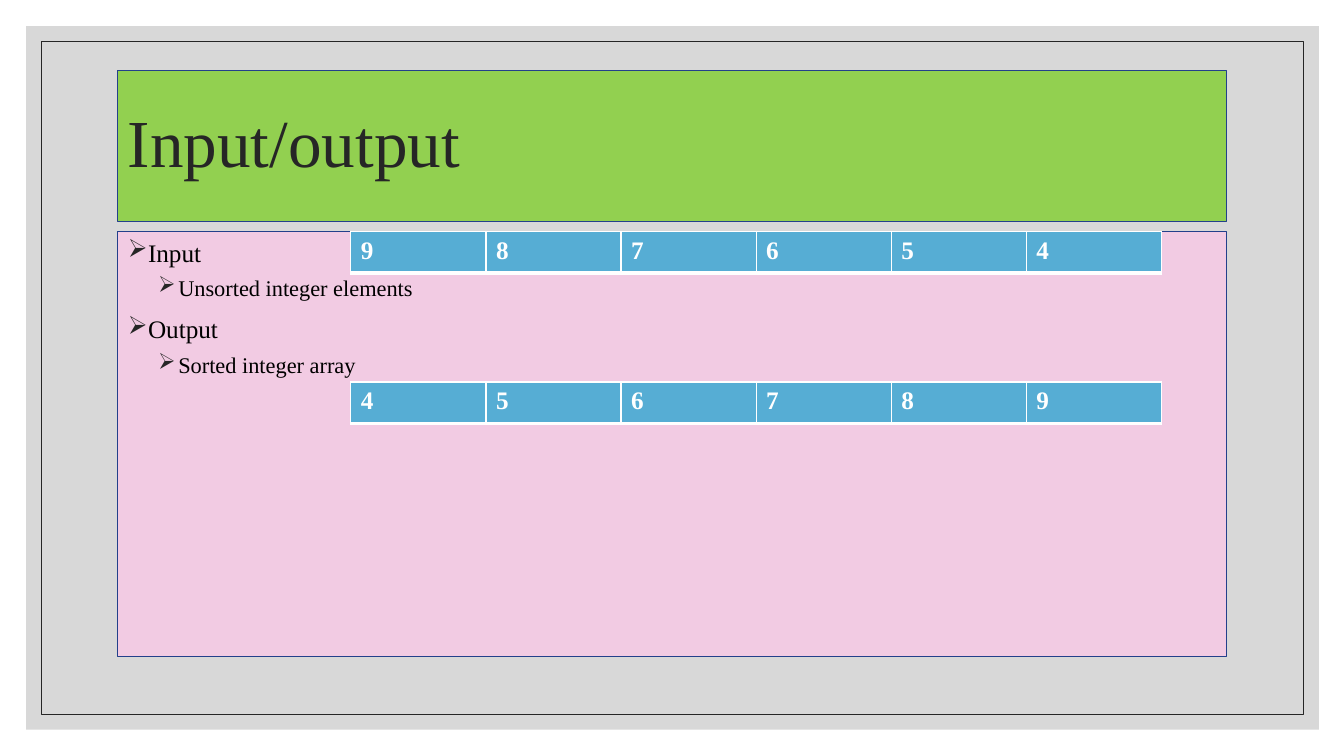
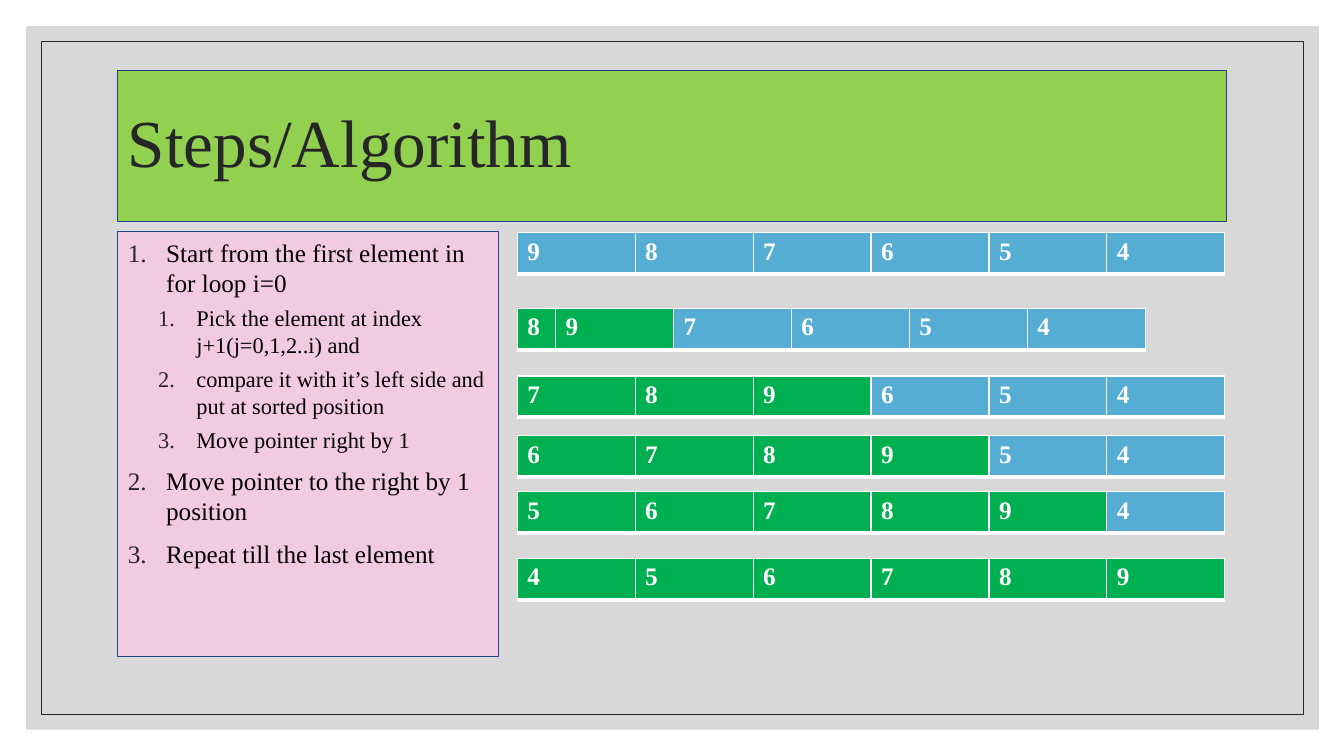
from dataclasses import dataclass
from lxml.etree import SubElement
from pptx import Presentation
from pptx.dml.color import RGBColor
from pptx.enum.shapes import MSO_SHAPE
from pptx.enum.text import MSO_ANCHOR, PP_ALIGN
from pptx.oxml.ns import qn
from pptx.util import Inches, Pt


@dataclass(frozen=True)
class Theme:
    font: str = "Times New Roman"
    backdrop: str = "BFBFBF"
    ink: str = "262626"
    title_fill: str = "92D050"
    body_fill: str = "F2CBE3"
    outline: str = "23408B"
    body_text: str = "000000"
    unsorted: str = "56ADD4"
    sorted: str = "00B050"
    white: str = "FFFFFF"
    title_size: int = 48
    body_sizes: tuple = (18, 16)
    space_before: tuple = (9, 5)
    cell_size: int = 18


theme = Theme()


def add_panel(slide, box, fill=None, line=None, width=0.75):
    shape = slide.shapes.add_shape(MSO_SHAPE.RECTANGLE, *map(Inches, box))
    shape.shadow.inherit = False
    if fill:
        shape.fill.solid()
        shape.fill.fore_color.rgb = RGBColor.from_string(fill)
    else:
        shape.fill.background()
    if line:
        shape.line.color.rgb = RGBColor.from_string(line)
        shape.line.width = Pt(width)
    else:
        shape.line.fill.background()
    return shape


def add_run(paragraph, text, size, color, bold=False):
    run = paragraph.add_run()
    run.text = text
    run.font.name = theme.font
    run.font.size = Pt(size)
    run.font.bold = bold
    run.font.color.rgb = RGBColor.from_string(color)


pages = [
    {
        "title": "Input/output",
        "body_width": 11,
        "bullet": ("buChar", {"char": "➢"}),
        "hanging": 0.2,
        "indents": (0.2, 0.5),
        "items": [
            (0, "Input"),
            (1, "Unsorted integer elements"),
            (0, "Output"),
            (1, "Sorted integer array"),
        ],
        "array_left": 3.48,
        "cell_width": 1.34,
        "arrays": [(2.3, "987654", 0, 1.34), (3.79, "456789", 0, 1.34)],
    },
    {
        "title": "Steps/Algorithm",
        "body_width": 3.77,
        "bullet": ("buAutoNum", {"type": "arabicPeriod"}),
        "hanging": 0.38,
        "indents": (0.38, 0.68),
        "items": [
            (0, "Start from the first element in for loop i=0"),
            (1, "Pick the element at index j+1(j=0,1,2..i) and"),
            (1, "compare it with it’s left side and put at sorted position"),
            (1, "Move pointer right by 1"),
            (0, "Move pointer to the right by 1 position"),
            (0, "Repeat till the last element"),
        ],
        "array_left": 5.13,
        "cell_width": 1.17,
        "arrays": [
            (2.31, "987654", 0, 1.17),
            (3.06, "897654", 2, 0.38),
            (3.73, "789654", 3, 1.17),
            (4.32, "678954", 4, 1.17),
            (4.88, "567894", 5, 1.17),
            (5.54, "456789", 6, 1.17),
        ],
    },
]

presentation = Presentation()
presentation.slide_width = Inches(13.33)
presentation.slide_height = Inches(7.5)

for page in pages:
    slide = presentation.slides.add_slide(presentation.slide_layouts[6])

    backdrop = add_panel(slide, (0.26, 0.26, 12.82, 6.98), fill=theme.backdrop)
    backdrop_color = backdrop._element.spPr.find(qn("a:solidFill"))[0]
    SubElement(backdrop_color, qn("a:alpha"), val="60000")
    add_panel(slide, (0.41, 0.41, 12.52, 6.68), line=theme.ink, width=0.5)

    title = add_panel(slide, (1.17, 0.7, 11, 1.5), theme.title_fill, theme.outline)
    title.text_frame.word_wrap = True
    title.text_frame.vertical_anchor = MSO_ANCHOR.MIDDLE
    paragraph = title.text_frame.paragraphs[0]
    paragraph.alignment = PP_ALIGN.LEFT
    paragraph.line_spacing = 0.9
    add_run(paragraph, page["title"], theme.title_size, theme.ink)

    body = add_panel(slide, (1.17, 2.3, page["body_width"], 4.21), theme.body_fill, theme.outline)
    frame = body.text_frame
    frame.word_wrap = True
    frame.vertical_anchor = MSO_ANCHOR.TOP
    for index, (level, text) in enumerate(page["items"]):
        paragraph = frame.add_paragraph() if index else frame.paragraphs[0]
        paragraph.level = level
        paragraph.alignment = PP_ALIGN.LEFT
        paragraph.space_before = Pt(theme.space_before[level])
        properties = paragraph._p.get_or_add_pPr()
        properties.set("marL", str(Inches(page["indents"][level])))
        properties.set("indent", str(-Inches(page["hanging"])))
        bullet_color = SubElement(properties, qn("a:buClr"))
        SubElement(bullet_color, qn("a:srgbClr"), val=theme.ink)
        bullet_tag, bullet_attributes = page["bullet"]
        SubElement(properties, qn(f"a:{bullet_tag}"), bullet_attributes)
        add_run(paragraph, text, theme.body_sizes[level], theme.body_text)

    for top, digits, sorted_count, first_width in page["arrays"]:
        widths = [first_width] + [page["cell_width"]] * (len(digits) - 1)
        table = slide.shapes.add_table(
            1, len(digits), Inches(page["array_left"]), Inches(top), Inches(sum(widths)), Inches(0.41)
        ).table
        table.first_row = False
        table.horz_banding = False
        for column, (digit, width) in enumerate(zip(digits, widths)):
            table.columns[column].width = Inches(width)
            cell = table.cell(0, column)
            cell_properties = cell._tc.get_or_add_tcPr()
            for side, points in (("L", 1), ("R", 1), ("T", 1), ("B", 3)):
                border = SubElement(cell_properties, qn(f"a:ln{side}"), w=str(Pt(points)))
                border_fill = SubElement(border, qn("a:solidFill"))
                SubElement(border_fill, qn("a:srgbClr"), val=theme.white)
            cell.fill.solid()
            cell_color = theme.sorted if column < sorted_count else theme.unsorted
            cell.fill.fore_color.rgb = RGBColor.from_string(cell_color)
            add_run(cell.text_frame.paragraphs[0], digit, theme.cell_size, theme.white, bold=True)

presentation.save("out.pptx")
